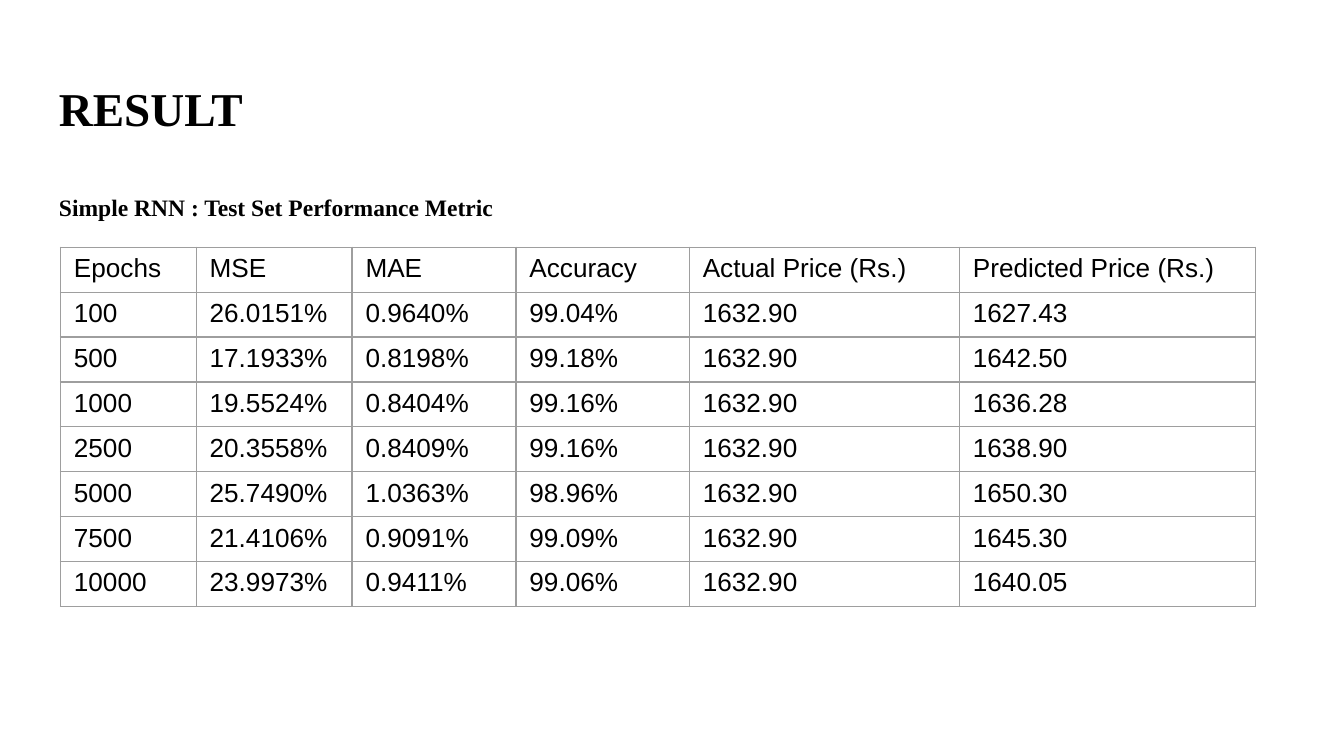
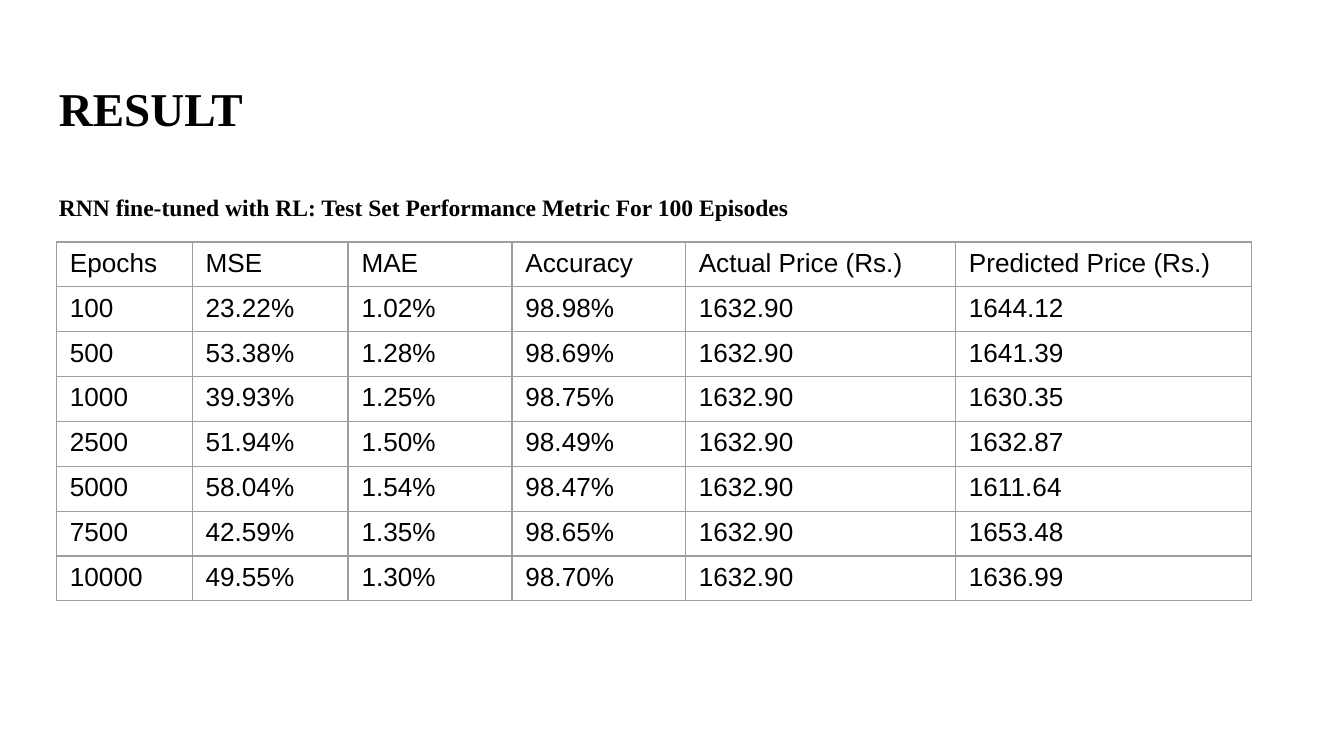
from dataclasses import dataclass

from lxml import etree
from pptx import Presentation
from pptx.dml.color import RGBColor
from pptx.enum.text import MSO_ANCHOR
from pptx.oxml.ns import qn
from pptx.util import Inches, Pt

TOP = MSO_ANCHOR.TOP

BLACK = "000000"
WHITE = "FFFFFF"
GRID_GREY = "9E9E9E"
HEADING_FONT = "Times New Roman"
TABLE_FONT = "Arial"

SLIDE_WIDTH = 10
HEADERS = ("Epochs", "MSE", "MAE", "Accuracy", "Actual Price (Rs.)", "Predicted Price (Rs.)")
COLUMN_WIDTHS = (1.01, 1.16, 1.22, 1.29, 2.01, 2.2)
ROW_HEIGHT = 0.26  # rows grow to fit their text
TABLE_FRAME_SIDE = 3.28
EPOCHS = (100, 500, 1000, 2500, 5000, 7500, 10000)
ACTUAL_PRICE = "1632.90"


@dataclass(frozen=True)
class Metrics:
    mse: str
    mae: str
    accuracy: str
    predicted: str


@dataclass(frozen=True)
class ResultPage:
    subtitle: str
    table_left: float
    table_top: float
    results: tuple[Metrics, ...]


PAGES = (
    ResultPage(
        "Simple RNN : Test Set Performance Metric", 0.45, 1.84,
        (
            Metrics("26.0151%", "0.9640%", "99.04%", "1627.43"),
            Metrics("17.1933%", "0.8198%", "99.18%", "1642.50"),
            Metrics("19.5524%", "0.8404%", "99.16%", "1636.28"),
            Metrics("20.3558%", "0.8409%", "99.16%", "1638.90"),
            Metrics("25.7490%", "1.0363%", "98.96%", "1650.30"),
            Metrics("21.4106%", "0.9091%", "99.09%", "1645.30"),
            Metrics("23.9973%", "0.9411%", "99.06%", "1640.05"),
        ),
    ),
    ResultPage(
        "RNN fine-tuned with RL: Test Set Performance Metric For 100 Episodes", 0.42, 1.8,
        (
            Metrics("23.22%", "1.02%", "98.98%", "1644.12"),
            Metrics("53.38%", "1.28%", "98.69%", "1641.39"),
            Metrics("39.93%", "1.25%", "98.75%", "1630.35"),
            Metrics("51.94%", "1.50%", "98.49%", "1632.87"),
            Metrics("58.04%", "1.54%", "98.47%", "1611.64"),
            Metrics("42.59%", "1.35%", "98.65%", "1653.48"),
            Metrics("49.55%", "1.30%", "98.70%", "1636.99"),
        ),
    ),
)


def color(value: str) -> RGBColor:
    return RGBColor.from_string(value)


def add_span(para, text: str, font: str, size: float, bold: bool = False) -> None:
    span = para.add_run()
    span.text = text
    span.font.name = font
    span.font.size = Pt(size)
    span.font.bold = bold
    span.font.color.rgb = color(BLACK)


def add_heading(page, subtitle: str) -> None:
    box = page.shapes.add_textbox(Inches(0.34), Inches(0.49), Inches(9.32), Inches(0.63))
    frame = box.text_frame
    frame.word_wrap = True
    frame.vertical_anchor = TOP
    frame.margin_left = frame.margin_right = Inches(0.1)
    frame.margin_top = frame.margin_bottom = Inches(0.1)
    add_span(frame.paragraphs[0], "RESULT", HEADING_FONT, 25.2, bold=True)
    para = frame.add_paragraph()
    para.space_before = Pt(30.5)
    add_span(para, subtitle, HEADING_FONT, 12.6, bold=True)


def add_borders(cell) -> None:
    """Draw all four cell edges; they must precede the fill in tcPr."""
    properties = cell._tc.get_or_add_tcPr()
    for index, edge in enumerate(("a:lnL", "a:lnR", "a:lnT", "a:lnB")):
        line = etree.Element(qn(edge), w=str(Pt(0.75)))
        fill = etree.SubElement(line, qn("a:solidFill"))
        etree.SubElement(fill, qn("a:srgbClr"), val=GRID_GREY)
        properties.insert(index, line)


def fill_cell(cell, text: str) -> None:
    cell.margin_left = cell.margin_right = Inches(0.1)
    cell.margin_top = cell.margin_bottom = Inches(0.05)
    cell.vertical_anchor = TOP
    cell.fill.background()
    add_borders(cell)
    para = cell.text_frame.paragraphs[0]
    para.line_spacing = 1.0
    para.space_before = para.space_after = Pt(0)
    add_span(para, text, TABLE_FONT, 14)


def add_results_table(page, content: ResultPage) -> None:
    rows = [HEADERS] + [
        (str(epochs), result.mse, result.mae, result.accuracy, ACTUAL_PRICE, result.predicted)
        for epochs, result in zip(EPOCHS, content.results)
    ]
    side = Inches(TABLE_FRAME_SIDE)
    holder = page.shapes.add_table(
        len(rows), len(HEADERS),
        Inches(content.table_left), Inches(content.table_top), side, side,
    )
    table = holder.table
    table.first_row = False
    table.horz_banding = False
    for column, width in zip(table.columns, COLUMN_WIDTHS):
        column.width = Inches(width)
    for row_index, values in enumerate(rows):
        table.rows[row_index].height = Inches(ROW_HEIGHT)
        for column_index, value in enumerate(values):
            fill_cell(table.cell(row_index, column_index), value)
    holder.width = holder.height = side


def main() -> None:
    deck = Presentation()
    deck.slide_width = Inches(SLIDE_WIDTH)
    deck.slide_height = Inches(SLIDE_WIDTH * 9 / 16)
    for content in PAGES:
        page = deck.slides.add_slide(deck.slide_layouts[6])
        page.background.fill.solid()
        page.background.fill.fore_color.rgb = color(WHITE)
        add_heading(page, content.subtitle)
        add_results_table(page, content)
    deck.save("out.pptx")


if __name__ == "__main__":
    main()
